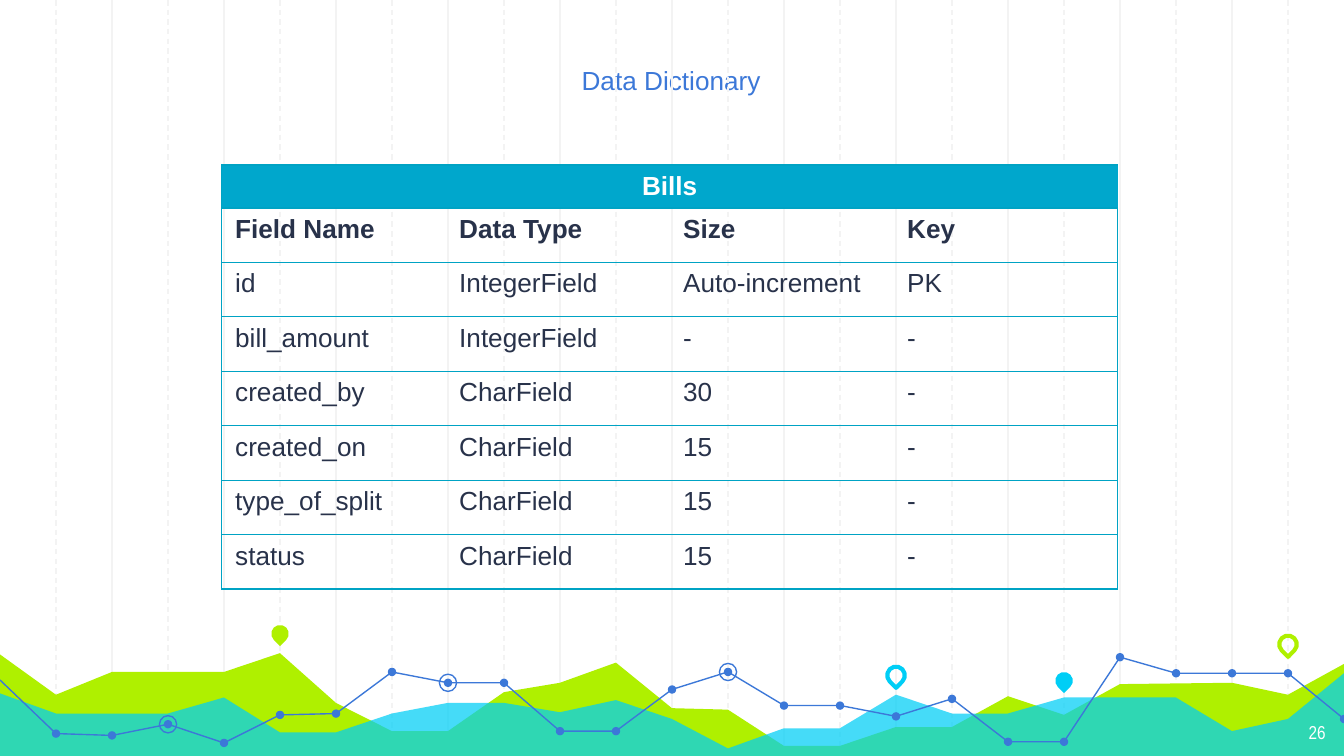
from lxml.etree import SubElement
from pptx import Presentation
from pptx.dml.color import RGBColor
from pptx.enum.dml import MSO_LINE as Dash
from pptx.enum.shapes import MSO_CONNECTOR as Link, MSO_SHAPE as Kind
from pptx.enum.text import MSO_ANCHOR as Anchor, PP_ALIGN as Align
from pptx.oxml import parse_xml
from pptx.oxml.ns import nsdecls, qn
from pptx.util import Pt

STEP = 30
BLUE, LIME, CYAN, TEAL = "3C78D8", "AFF000", "00CEF6", "00A3C4"
LIME_HILL = [(0, 26.6), (1, 48.2), (2, 36), (4, 36), (5, 25.9), (6, 52.6), (7, 67.7),
             (8, 67.7), (9, 46.8), (10, 41.8), (11, 31), (12, 55.4), (13, 56.2),
             (14, 75.6), (15, 75.6), (16, 65.5), (17, 65.5), (18, 49), (19, 59),
             (20, 42.5), (22, 41.8), (23, 48.2), (24, 31.7)]
CYAN_HILL = [(0, 47.5), (1, 58.3), (3, 58.3), (4, 49.7), (5, 68.4), (6, 68.4), (7, 58.3),
             (8, 52.6), (9, 52.6), (10, 57.6), (11, 51.1), (12, 61.2), (13, 77),
             (14, 66.2), (15, 66.2), (16, 48.2), (17, 58.3), (18, 58.3), (19, 49.7),
             (21, 49.7), (22, 67.7), (23, 61.2), (24, 36.7)]
TREND = list(enumerate([40.3, 69, 70, 64, 74, 59, 58.3, 36, 41.8, 41.8, 67.7, 67.7, 45.4,
                        36, 54, 54, 59.8, 50.4, 73.4, 73.4, 28.1, 36.7, 36.7, 36.7, 61.2]))
PINS = [(5, 15.5, LIME, True), (16, 37.8, CYAN, False),
        (19, 40.7, CYAN, True), (23, 21.2, LIME, False)]
FIELDS = [("Field Name", "Data Type", "Size", "Key"),
          ("id", "IntegerField", "Auto-increment", "PK"),
          ("bill_amount", "IntegerField", "-", "-"),
          ("created_by", "CharField", "30", "-"),
          ("created_on", "CharField", "15", "-"),
          ("type_of_split", "CharField", "15", "-"),
          ("status", "CharField", "15", "-")]


def tint(code):
    """Turn a hex string into a colour."""
    return RGBColor.from_string(code)


def paint(shape, fill=None, line=None, width=0.75):
    """Set fill and outline, and drop the shadow."""
    shape.shadow.inherit = False
    if fill:
        shape.fill.solid()
        shape.fill.fore_color.rgb = tint(fill)
    else:
        shape.fill.background()
    if line:
        shape.line.color.rgb = tint(line)
        shape.line.width = Pt(width)
    else:
        shape.line.fill.background()
    return shape


def style(para, size, color, face="Arial", bold=False, align=Align.LEFT):
    """Set the font and alignment of a paragraph."""
    para.alignment = align
    font = para.font
    font.size, font.name, font.bold = Pt(size), face, bold
    font.color.rgb = tint(color)


def add_grid(slide, box):
    """Draw upright lines at equal steps, every other one dashed."""
    left, top, width, height = box
    for i in range(1, round(width / STEP)):
        x = Pt(left + i * STEP)
        rule = slide.shapes.add_connector(Link.STRAIGHT, x, Pt(top), x, Pt(top + height))
        rule.line.color.rgb = tint("F3F3F3")
        rule.line.width = Pt(0.75)
        if i % 2:
            rule.line.dash_style = Dash.DASH
        SubElement(rule._element.spPr, qn("a:effectLst"))


def add_path(slide, spots, close):
    """Build an outline through the given points."""
    first, *rest = [(Pt(x), Pt(y)) for x, y in spots]
    pen = slide.shapes.build_freeform(*first, scale=1.0)
    pen.add_line_segments(rest, close=close)
    return pen.convert_to_shape()


def add_mark(slide, kind, spot, size):
    """Place a square shape centred on a point."""
    x, y = spot
    return slide.shapes.add_shape(kind, Pt(x - size / 2), Pt(y - size / 2), Pt(size), Pt(size))


def add_band(slide, box):
    """Draw the hills, pins and dotted trend line."""
    left, top, width, height = box

    def place(pairs):
        """Map grid steps and depths to points."""
        return [(left + i * STEP, top + y) for i, y in pairs]

    base = [(left + width, top + height), (left, top + height)]
    paint(add_path(slide, place(LIME_HILL) + base, True), LIME)
    hill = paint(add_path(slide, place(CYAN_HILL) + base, True), CYAN)
    shade = hill._element.spPr.find(qn("a:solidFill"))[0]
    SubElement(shade, qn("a:alpha"), val="73000")
    for i, y, color, solid in PINS:
        pin = add_mark(slide, Kind.TEAR, place([(i, y)])[0], 9.4)
        pin.rotation = 135
        paint(pin, color if solid else None, None if solid else color, 2.25)
    spots = place(TREND)
    for start, end in ((0, 11), (11, 20), (20, 24)):
        paint(add_path(slide, spots[start:end + 1], False), line=BLUE)
    for spot in spots[1:]:
        paint(add_mark(slide, Kind.OVAL, spot, 4.5), BLUE)
    for i in (3, 8, 13):
        paint(add_mark(slide, Kind.OVAL, spots[i], 9.2), line=BLUE)


def add_edges(cell, sides):
    """Draw the named borders of a cell and clear the others."""
    props = cell._tc.get_or_add_tcPr()
    for n, side in enumerate("LRTB"):
        ink = f'<a:solidFill><a:srgbClr val="{TEAL}"/></a:solidFill>' if side in sides else "<a:noFill/>"
        props.insert(n, parse_xml(f'<a:ln{side} {nsdecls("a")} w="9525">{ink}</a:ln{side}>'))


def add_fields(slide, box):
    """Build the table with one merged heading row."""
    rows = [("Bills", "", "", "")] + FIELDS
    count, last = len(rows), len(rows[0]) - 1
    left, top, width, height = box
    table = slide.shapes.add_table(count, last + 1, Pt(left), Pt(top), Pt(width), Pt(height)).table
    table.first_row = table.horz_banding = False
    head = 23
    for r, row in enumerate(rows):
        table.rows[r].height = Pt((height - head) / (count - 1) if r else head)
        for c, text in enumerate(row):
            cell = table.cell(r, c)
            cell.text = text
            style(cell.text_frame.paragraphs[0], 14, "28324A" if r else "FFFFFF",
                  bold=r < 2, align=Align.LEFT if r else Align.CENTER)
            if r:
                cell.fill.background()
            else:
                cell.fill.solid()
                cell.fill.fore_color.rgb = tint("00A7CC")
            add_edges(cell, "TB" + "L" * (c == 0) + "R" * (c == last))
    table.cell(0, 0).merge(table.cell(0, last))


def fill_text(shape, text, box, anchor, **look):
    """Place a text shape in its box and format its words."""
    shape.left, shape.top, shape.width, shape.height = map(Pt, box)
    frame = shape.text_frame
    frame.word_wrap = True
    frame.vertical_anchor = anchor
    frame.margin_left = frame.margin_right = frame.margin_top = frame.margin_bottom = Pt(7.2)
    frame.text = text
    style(frame.paragraphs[0], **look)


def main():
    """Build the slide and save it."""
    deck = Presentation()
    deck.slide_width, deck.slide_height = Pt(720), Pt(405)
    slide = deck.slides.add_slide(deck.slide_layouts[5])
    add_grid(slide, (0, 0, 720, 406.8))
    add_band(slide, (0, 324, 720, 82))
    add_fields(slide, (118.8, 88.4, 480, 227.3))
    fill_text(slide.shapes.title, "Data Dictionary", (84.2, 26, 550.8, 32.4), Anchor.BOTTOM,
              size=14, color=BLUE, align=Align.CENTER)
    fill_text(slide.shapes.add_textbox(0, 0, 0, 0), "26", (674, 380.2, 43.2, 25.2), Anchor.TOP,
              size=10, color="FFFFFF", face="Arial Narrow", align=Align.RIGHT)
    deck.save("out.pptx")


if __name__ == "__main__":
    main()
